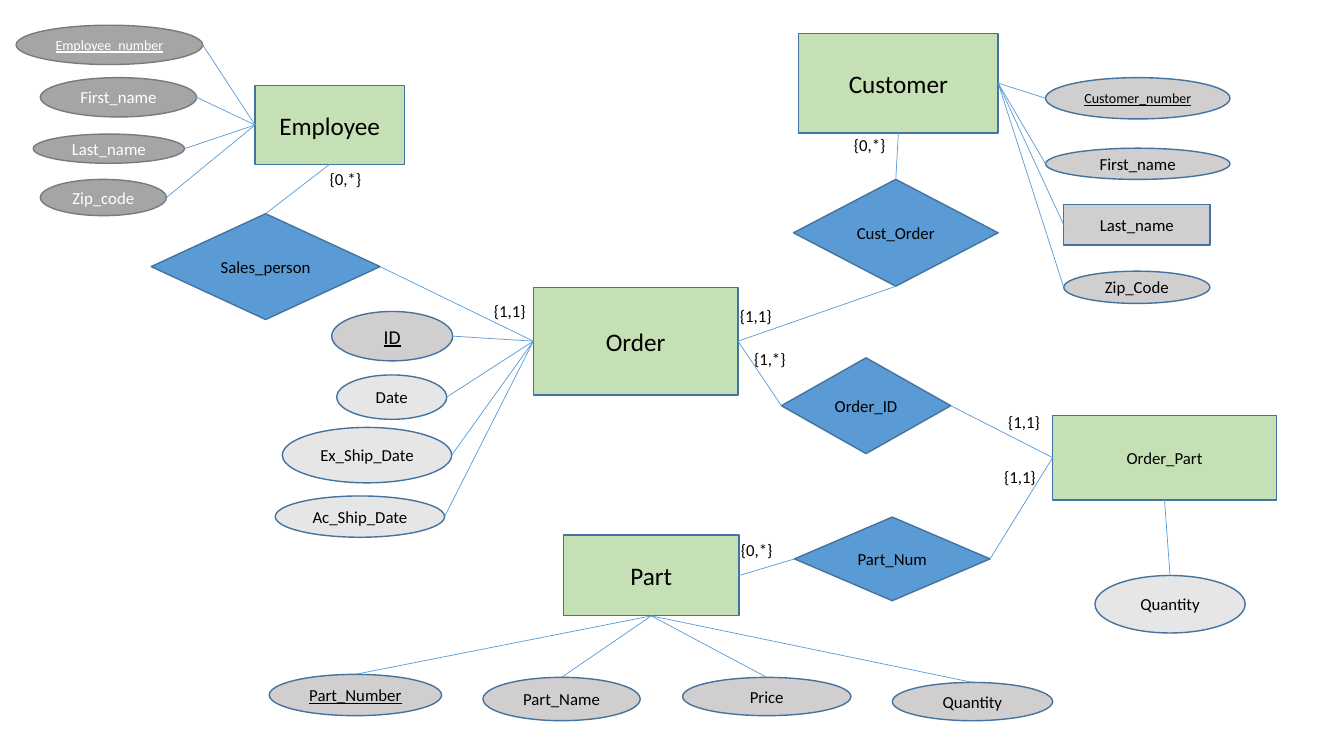
from lxml import etree
from pptx import Presentation
from pptx.dml.color import RGBColor
from pptx.enum import shapes as kinds, text as t
from pptx.oxml.ns import qn
from pptx.util import Inches, Pt

GREEN = RGBColor(0xC5, 0xE0, 0xB4)
BLUE = RGBColor(0x5B, 0x9B, 0xD5)
DARK_BLUE = RGBColor(0x43, 0x73, 0x9E)
DARK_GREY = RGBColor(0xA5, 0xA5, 0xA5)
EDGE_GREY = RGBColor(0x7A, 0x7A, 0x7A)
GREY = RGBColor(0xD0, 0xCE, 0xCE)
PALE_GREY = RGBColor(0xE7, 0xE6, 0xE6)
BLACK = RGBColor(0, 0, 0)
WHITE = RGBColor(0xFF, 0xFF, 0xFF)

RECT = kinds.MSO_SHAPE.RECTANGLE
OVAL = kinds.MSO_SHAPE.OVAL
DIAMOND = kinds.MSO_SHAPE.DIAMOND
SIDES = {"top": (0.5, 0), "left": (0, 0.5), "bottom": (0.5, 1), "right": (1, 0.5)}
OPPOSITE = {"left": "right", "right": "left", "bottom": "top"}

STYLES = {
    "entity": dict(fill=GREEN, edge=DARK_BLUE, font=dict(size=Pt(18))),
    "small entity": dict(fill=GREEN, edge=DARK_BLUE, font={}),
    "relationship": dict(fill=BLUE, edge=DARK_BLUE, font={}),
    "dark": dict(fill=DARK_GREY, edge=EDGE_GREY, font={}, ink=WHITE),
    "grey": dict(fill=GREY, edge=DARK_BLUE, font={}),
    "pale": dict(fill=PALE_GREY, edge=DARK_BLUE, font={}),
}
KEY = dict(underline=True)
SMALL_KEY = dict(underline=True, size=Pt(10))
LARGE_KEY = dict(underline=True, size=Pt(14))

ENTITIES = {
    "Employee": ((2.53, 0.85, 1.48, 0.78), "entity", "left", [
        ("Employee_number", (-2.37, -0.6, 1.85, 0.39), "dark", OVAL, SMALL_KEY),
        ("First_name", (-2.13, -0.08, 1.55, 0.39), "dark", OVAL, {}),
        ("Last_name", (-2.2, 0.48, 1.5, 0.29), "dark", OVAL, {}),
        ("Zip_code", (-2.13, 0.93, 1.25, 0.36), "dark", OVAL, {}),
    ]),
    "Customer": ((7.92, 0.33, 1.98, 0.99), "entity", "right", [
        ("Customer_number", (2.45, 0.44, 1.83, 0.41), "grey", OVAL, SMALL_KEY),
        ("First_name", (2.45, 1.14, 1.83, 0.31), "grey", OVAL, {}),
        ("Last_name", (2.63, 1.7, 1.45, 0.4), "grey", RECT, {}),
        ("Zip_Code", (2.63, 2.36, 1.45, 0.32), "grey", OVAL, {}),
    ]),
    "Order": ((5.29, 2.85, 2.03, 1.07), "entity", "left", [
        ("ID", (-2, 0.24, 1.2, 0.49), "grey", OVAL, LARGE_KEY),
        ("Date", (-1.95, 0.87, 1.09, 0.44), "pale", OVAL, {}),
        ("Ex_Ship_Date", (-2.49, 1.39, 1.68, 0.55), "pale", OVAL, {}),
        ("Ac_Ship_Date", (-2.56, 2.07, 1.68, 0.41), "pale", OVAL, {}),
    ]),
    "Part": ((5.59, 5.31, 1.74, 0.8), "entity", "bottom", [
        ("Part_Number", (-2.92, 1.38, 1.71, 0.41), "grey", OVAL, KEY),
        ("Part_Name", (-0.8, 1.41, 1.56, 0.43), "grey", OVAL, {}),
        ("Price", (1.18, 1.41, 1.67, 0.38), "grey", OVAL, {}),
        ("Quantity", (3.26, 1.46, 1.59, 0.38), "grey", OVAL, {}),
    ]),
    "Order_Part": ((10.44, 4.12, 2.22, 0.84), "small entity", "bottom", [
        ("Quantity", (0.42, 1.59, 1.49, 0.57), "pale", OVAL, {}),
    ]),
}

RELATIONSHIPS = {
    "Sales_person": ((1.5, 2.12, 2.27, 1.05), [
        ("top", "Employee", "bottom", "{0,*}", (-0.1, -0.01)),
        ("right", "Order", "left", "{1,1}", (-0.49, -0.45)),
    ]),
    "Cust_Order": ((7.87, 1.78, 2.03, 1.06), [
        ("top", "Customer", "bottom", "{0,*}", (-0.54, -0.03)),
        ("bottom", "Order", "right", "{1,1}", (-0.08, -0.4)),
    ]),
    "Order_ID": ((7.75, 3.55, 1.68, 0.95), [
        ("left", "Order", "right", "{1,*}", (0.06, 0.03)),
        ("right", "Order_Part", "left", "{1,1}", (-0.54, -0.5)),
    ]),
    "Part_Num": ((7.88, 5.13, 1.94, 0.83), [
        ("left", "Part", "right", "{0,*}", (-0.08, -0.4)),
        ("right", "Order_Part", "left", "{1,1}", (-0.58, 0.04)),
    ]),
}


def anchor(box, side):
    """Return the midpoint of one side of a box."""
    left, top, width, height = box
    across, down = SIDES[side]
    return left + across * width, top + down * height


def write(frame, words, ink=BLACK, **font):
    """Put one line of formatted words into a text frame."""
    run = frame.paragraphs[0].add_run()
    run.text = words
    for attribute, value in {"name": "Calibri", "size": Pt(12), **font}.items():
        setattr(run.font, attribute, value)
    run.font.color.rgb = ink


def draw_node(slide, name, box, outline, style, extra_font):
    """Draw a named, filled outline in the given box."""
    look = STYLES[style]
    node = slide.shapes.add_shape(outline, *map(Inches, box))
    node.shadow.inherit = False
    node.fill.solid()
    node.fill.fore_color.rgb = look["fill"]
    node.line.color.rgb = look["edge"]
    node.line.width = Pt(1)
    node.text_frame.vertical_anchor = t.MSO_ANCHOR.MIDDLE
    node.text_frame.paragraphs[0].alignment = t.PP_ALIGN.CENTER
    write(node.text_frame, name, look.get("ink", BLACK), **{**look["font"], **extra_font})


def draw_link(slide, start, end):
    """Draw a thin straight line between two points."""
    link = slide.shapes.add_connector(
        kinds.MSO_CONNECTOR.STRAIGHT, *map(Inches, (*start, *end)))
    link.line.color.rgb = BLUE
    link.line.width = Pt(0.5)
    etree.SubElement(link._element.spPr, qn("a:effectLst"))


def draw_cardinality(slide, words, left, top):
    """Label the end of a relationship with its cardinality."""
    label = slide.shapes.add_textbox(*map(Inches, (left, top, 0.52, 0.3)))
    label.text_frame.word_wrap = False
    write(label.text_frame, words)


def draw_entity(slide, name, box, style, side, attributes):
    """Draw an entity and the attributes fanning out from one side."""
    draw_node(slide, name, box, RECT, style, {})
    for attribute, (dx, dy, width, height), look, outline, font in attributes:
        place = (box[0] + dx, box[1] + dy, width, height)
        draw_node(slide, attribute, place, outline, look, font)
        draw_link(slide, anchor(box, side), anchor(place, OPPOSITE[side]))


def draw_relationship(slide, name, box, ends):
    """Draw a relationship diamond and its links to the entities."""
    draw_node(slide, name, box, DIAMOND, "relationship", {})
    for side, entity, entity_side, cardinality, (dx, dy) in ends:
        x, y = anchor(ENTITIES[entity][0], entity_side)
        draw_link(slide, anchor(box, side), (x, y))
        draw_cardinality(slide, cardinality, x + dx, y + dy)


def main():
    """Build the order database diagram and save it."""
    deck = Presentation()
    deck.slide_width, deck.slide_height = Inches(13.33), Inches(7.5)
    slide = deck.slides.add_slide(deck.slide_layouts[6])
    for name, details in ENTITIES.items():
        draw_entity(slide, name, *details)
    for name, details in RELATIONSHIPS.items():
        draw_relationship(slide, name, *details)
    deck.save("out.pptx")


if __name__ == "__main__":
    main()
